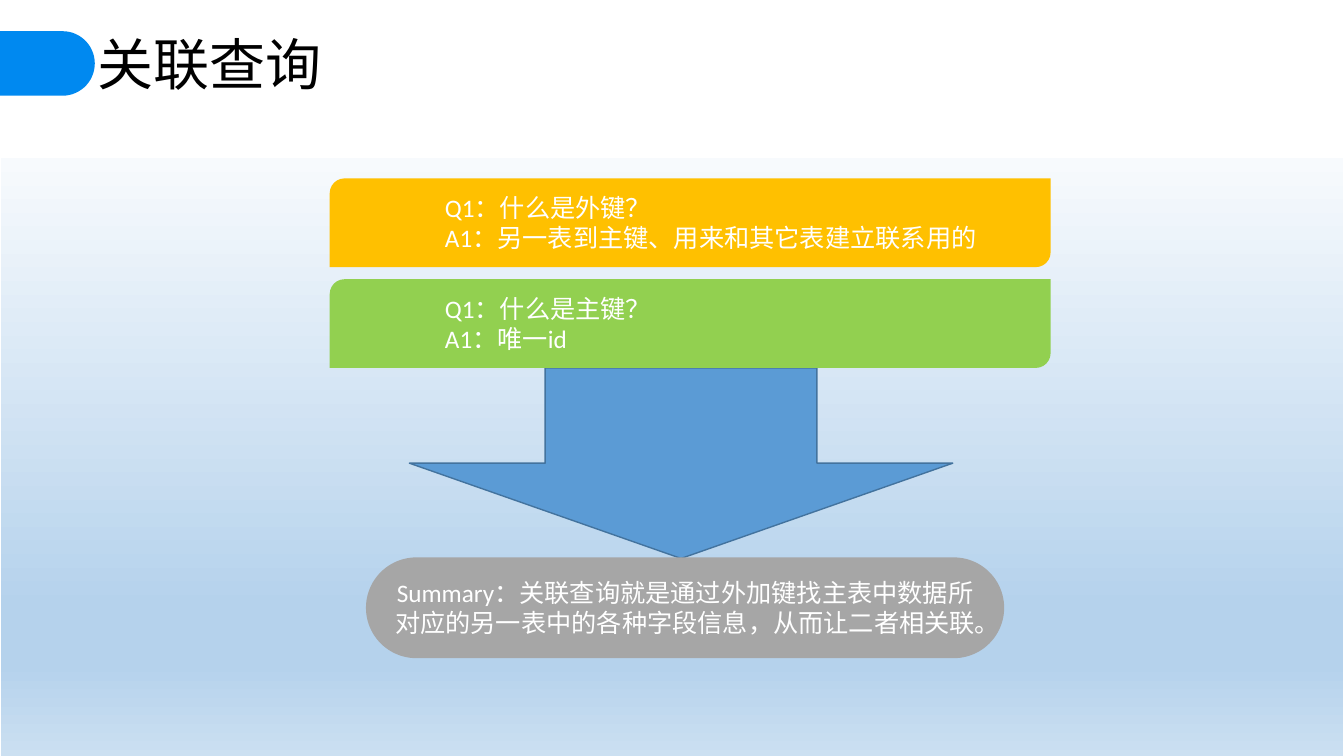
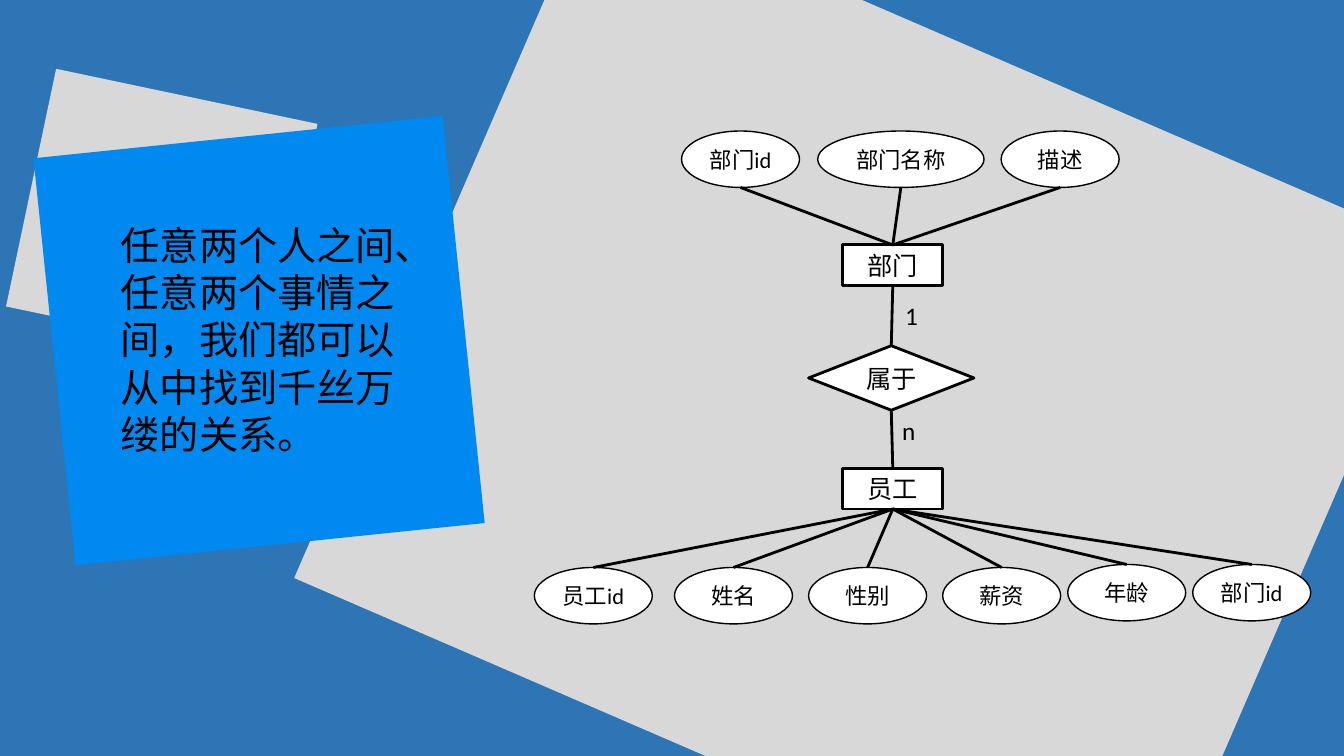
import math

from lxml import etree
from pptx import Presentation
from pptx.dml.color import RGBColor
from pptx.enum.shapes import MSO_CONNECTOR, MSO_SHAPE
from pptx.enum.text import MSO_ANCHOR, PP_ALIGN
from pptx.oxml.ns import qn
from pptx.util import Inches, Pt

RECTANGLE = MSO_SHAPE.RECTANGLE
ROUNDED = MSO_SHAPE.ROUNDED_RECTANGLE
DIAGONAL_ROUNDED = MSO_SHAPE.ROUND_2_DIAG_RECTANGLE
DOWN_ARROW = MSO_SHAPE.DOWN_ARROW
DIAMOND = MSO_SHAPE.FLOWCHART_DECISION
OVAL = MSO_SHAPE.FLOWCHART_CONNECTOR
STRAIGHT = MSO_CONNECTOR.STRAIGHT
LEFT, CENTER = PP_ALIGN.LEFT, PP_ALIGN.CENTER
TOP, MIDDLE = MSO_ANCHOR.TOP, MSO_ANCHOR.MIDDLE
SIDE_TOP, SIDE_BOTTOM = 0, 2

BLACK = RGBColor(0x00, 0x00, 0x00)
WHITE = RGBColor(0xFF, 0xFF, 0xFF)
BRIGHT_BLUE = RGBColor(0x00, 0x89, 0xF0)
DEEP_BLUE = RGBColor(0x2E, 0x75, 0xB6)
ARROW_BLUE = RGBColor(0x5B, 0x9B, 0xD5)
ARROW_EDGE = RGBColor(0x43, 0x73, 0x9E)
AMBER = RGBColor(0xFF, 0xC0, 0x00)
GREEN = RGBColor(0x92, 0xD0, 0x50)
GRAY = RGBColor(0xA6, 0xA6, 0xA6)
LIGHT_GRAY = RGBColor(0xD8, 0xD8, 0xD8)
BODY_FONT, CHINESE_FONT = "Calibri", "Noto Sans CJK SC"

# Content of the question slide
TITLE = "关联查询"
GRADIENT_STOPS = [(0, "F7FAFD"), (74, "B5D2EC"), (83, "B5D2EC"), (100, "CEE1F2")]
QUESTIONS = [
    (AMBER, ["Q1：什么是外键？", "A1：另一表到主键、用来和其它表建立联系用的"]),
    (GREEN, ["Q1：什么是主键？", "A1：唯一id"]),
]
SUMMARY = "Summary：关联查询就是通过外加键找主表中数据所对应的另一表中的各种字段信息，从而让二者相关联。"

# Content of the relation slide
QUOTE = "任意两个人之间、任意两个事情之间，我们都可以从中找到千丝万缕的关系。"
TILES = [  # box, rotation, colour
    ((4.03, 0.36, 9.15, 7.5), 23.4, LIGHT_GRAY),
    ((0.28, 0.93, 2.65, 2.41), 11.9, LIGHT_GRAY),
    ((0.53, 1.35, 4.08, 4.06), -5.9, BRIGHT_BLUE),
]
DEPARTMENT, RELATION, EMPLOYEE = "部门", "属于", "员工"
OVAL_WIDTH, OVAL_HEIGHT = 1.17, 0.56
DEPARTMENT_TOP = 1.3
DEPARTMENT_FIELDS = [  # name, left, width
    ("部门id", 6.76, OVAL_WIDTH),
    ("部门名称", 8.11, 1.65),
    ("描述", 9.93, OVAL_WIDTH),
]
EMPLOYEE_FIELDS = [  # name, left, top
    ("员工id", 5.3, 5.63), ("姓名", 6.69, 5.63), ("性别", 8.02, 5.63),
    ("薪资", 9.35, 5.63), ("年龄", 10.59, 5.6), ("部门id", 11.83, 5.6),
]
CARDINALITIES = [("1", 8.88, 2.93), ("n", 8.85, 4.07)]


def write(shape, lines, size, color, align=LEFT, anchor=MIDDLE, font=BODY_FONT):
    frame = shape.text_frame
    frame.word_wrap = True
    frame.vertical_anchor = anchor
    for index, line in enumerate(lines):
        paragraph = frame.paragraphs[0] if index == 0 else frame.add_paragraph()
        paragraph.alignment = align
        run = paragraph.add_run()
        run.text = line
        formats = {"name": font, "size": Pt(size), "bold": False}
        for name, value in formats.items():
            setattr(run.font, name, value)
        run.font.color.rgb = color
        east_asian = etree.SubElement(run.font._element, qn("a:ea"))
        east_asian.set("typeface", CHINESE_FONT)


def paint(shape, fill, line=None, line_width=1):
    shape.shadow.inherit = False
    shape.fill.solid()
    shape.fill.fore_color.rgb = fill
    if line is None:
        shape.line.fill.background()
    else:
        shape.line.color.rgb = line
        shape.line.width = Pt(line_width)


def add_block(slide, kind, box, fill, line=None, line_width=1):
    shape = slide.shapes.add_shape(kind, *map(Inches, box))
    paint(shape, fill, line, line_width)
    return shape


def add_node(slide, kind, box, text, size=18, line_width=2):
    node = add_block(slide, kind, box, WHITE, BLACK, line_width)
    write(node, [text], size, BLACK, CENTER)
    return node


def add_label(slide, box, text, size):
    label = slide.shapes.add_textbox(*map(Inches, box))
    write(label, [text], size, BLACK, anchor=TOP)


def add_link(slide, upper, lower, join_upper=True):
    """Run a line from the bottom middle of one node to the top middle of another."""
    connector = slide.shapes.add_connector(
        STRAIGHT, upper.left + upper.width // 2, upper.top + upper.height,
        lower.left + lower.width // 2, lower.top)
    connector.line.color.rgb = BLACK
    connector.line.width = Pt(2)
    etree.SubElement(connector._element.spPr, qn("a:effectLst"))
    if join_upper:
        connector.begin_connect(upper, SIDE_BOTTOM)
    connector.end_connect(lower, SIDE_TOP)


def add_title(slide, text):
    title = slide.shapes.title
    box = {"left": 0.87, "top": 0.24, "width": 12.46, "height": 0.77}
    for name, value in box.items():
        setattr(title, name, Inches(value))
    write(title, [text], 40, BLACK, font=CHINESE_FONT)

    # Tab with a half-round end, bleeding off the left edge
    left, center_x, center_y, radius = -0.35, 0.62, 0.63, 0.32
    arc = [(center_x + radius * math.sin(math.radians(angle)),
            center_y - radius * math.cos(math.radians(angle)))
           for angle in range(0, 181, 6)]
    builder = slide.shapes.build_freeform(
        Inches(left), Inches(center_y - radius), scale=1.0)
    outline = arc + [(left, center_y + radius)]
    builder.add_line_segments([(Inches(x), Inches(y)) for x, y in outline], close=True)
    paint(builder.convert_to_shape(), BRIGHT_BLUE)


def add_gradient_panel(slide):
    panel = add_block(slide, RECTANGLE, (0.01, 1.57, 13.31, 6.04), WHITE)
    panel.fill.gradient()
    panel.fill.gradient_angle = 270
    stops = panel._element.spPr.find(qn("a:gradFill")).find(qn("a:gsLst"))
    for stop in list(stops):
        stops.remove(stop)
    for position, color in GRADIENT_STOPS:
        stop = etree.SubElement(stops, qn("a:gs"), pos=str(position * 1000))
        etree.SubElement(stop, qn("a:srgbClr"), val=color)


def build_question_slide(presentation):
    slide = presentation.slides.add_slide(presentation.slide_layouts[5])
    add_title(slide, TITLE)
    add_gradient_panel(slide)
    add_block(slide, DOWN_ARROW, (4.06, 3.65, 5.39, 1.89), ARROW_BLUE, ARROW_EDGE)

    # Question bars
    for row, (color, lines) in enumerate(QUESTIONS):
        bar = add_block(slide, DIAGONAL_ROUNDED, (3.27, 1.77 + row, 7.15, 0.88), color)
        bar.text_frame.margin_left = Inches(1.1)
        write(bar, lines, 18, WHITE)

    # Summary
    pill = add_block(slide, ROUNDED, (3.63, 5.53, 6.33, 1), GRAY)
    pill.adjustments[0] = 0.5
    write(pill, [SUMMARY], 18, WHITE, CENTER)


def build_relation_slide(presentation):
    slide = presentation.slides.add_slide(presentation.slide_layouts[6])
    slide.background.fill.solid()
    slide.background.fill.fore_color.rgb = DEEP_BLUE

    # Tilted tiles and quote
    for box, rotation, color in TILES:
        add_block(slide, RECTANGLE, box, color).rotation = rotation
    add_label(slide, (1.1, 2.15, 2.93, 2.46), QUOTE, 28)

    # Entities and their relation
    department = add_node(slide, RECTANGLE, (8.36, 2.43, 0.99, 0.4), DEPARTMENT)
    employee = add_node(slide, RECTANGLE, (8.36, 4.65, 0.99, 0.4), EMPLOYEE)
    relation = add_node(slide, DIAMOND, (8.02, 3.43, 1.64, 0.64), RELATION)
    add_link(slide, department, relation)
    add_link(slide, relation, employee)
    for text, left, top in CARDINALITIES:
        add_label(slide, (left, top, 1.33, 0.4), text, 18)

    # Fields of each entity
    for name, left, width in DEPARTMENT_FIELDS:
        box = (left, DEPARTMENT_TOP, width, OVAL_HEIGHT)
        field = add_node(slide, OVAL, box, name, 16, 1)
        add_link(slide, field, department, join_upper=False)
    for name, left, top in EMPLOYEE_FIELDS:
        box = (left, top, OVAL_WIDTH, OVAL_HEIGHT)
        field = add_node(slide, OVAL, box, name, 16, 1)
        add_link(slide, employee, field)


def main():
    presentation = Presentation()
    presentation.slide_width = Inches(13.33)
    presentation.slide_height = Inches(7.5)
    build_question_slide(presentation)
    build_relation_slide(presentation)
    presentation.save("out.pptx")


if __name__ == "__main__":
    main()
